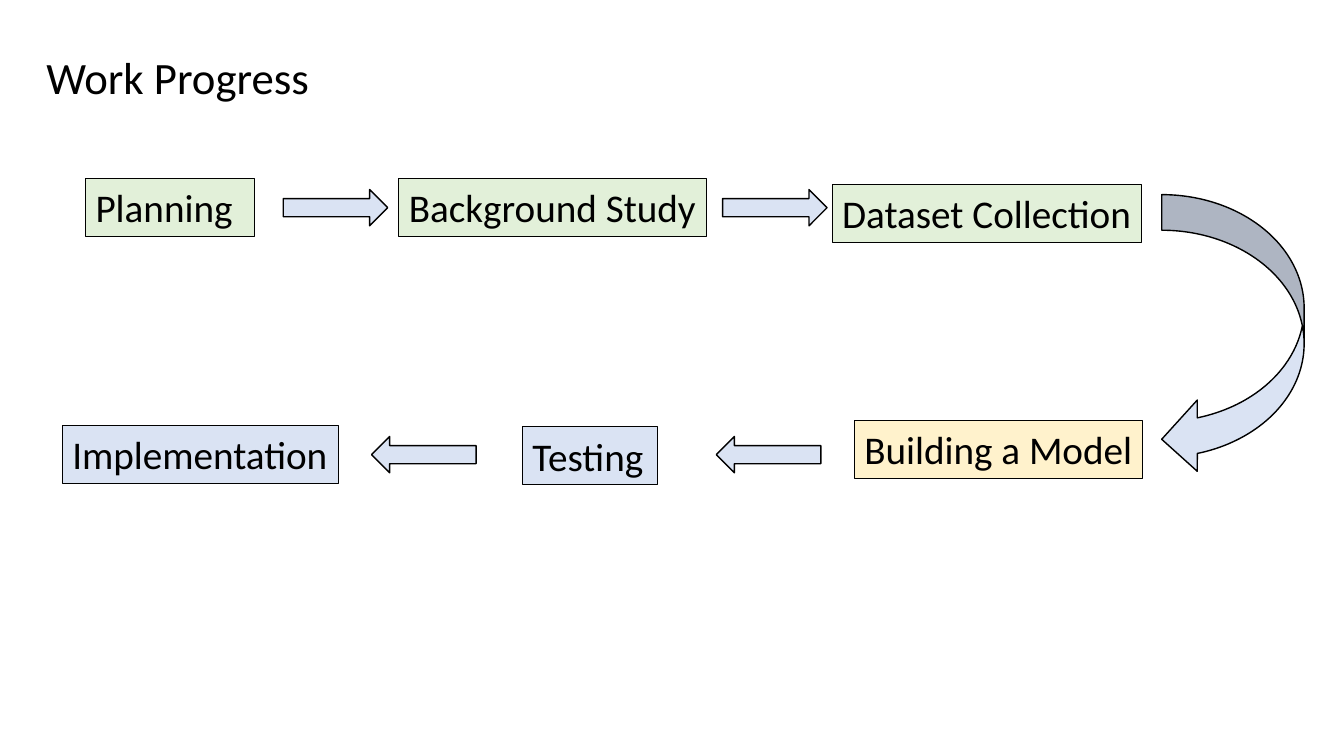
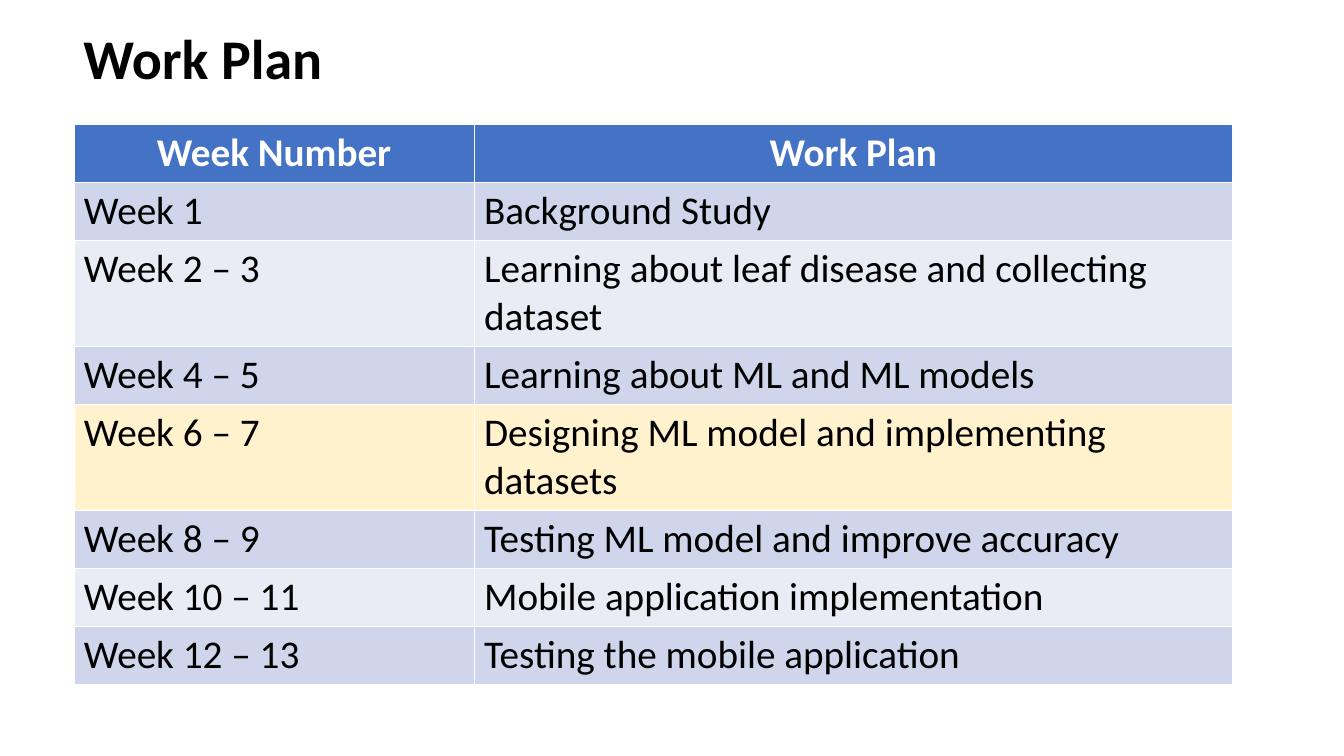
from dataclasses import dataclass

from lxml.etree import SubElement
from pptx import Presentation
from pptx.dml.color import RGBColor
from pptx.enum.shapes import MSO_SHAPE as Shape
from pptx.enum.text import MSO_ANCHOR as Anchor, PP_ALIGN as Align
from pptx.oxml.ns import qn
from pptx.util import Pt


@dataclass(frozen=True)
class Theme:
    font: str = "Calibri"
    ink: str = "000000"
    paper: str = "FFFFFF"
    done: str = "E2F0D9"
    current: str = "FFF2CC"
    planned: str = "DAE3F3"
    header: str = "4472C4"
    band_dark: str = "CFD5EA"
    band_light: str = "E9EBF5"
    title_size: int = 32
    big_title_size: int = 40
    body_size: int = 28


THEME = Theme()


def style_text(paragraph, size, color=THEME.ink, bold=False, align=Align.LEFT):
    paragraph.alignment = align
    font = paragraph.font
    font.name, font.size, font.bold = THEME.font, Pt(size), bold
    font.color.rgb = RGBColor.from_string(color)


def add_block(slide, kind, place, fill, line_width):
    """Add a filled, outlined shape without shadow at (left, top, width, height)."""
    block = slide.shapes.add_shape(kind, *map(Pt, place))
    block.shadow.inherit = False
    block.fill.solid()
    block.fill.fore_color.rgb = RGBColor.from_string(fill)
    block.line.color.rgb = RGBColor.from_string(THEME.ink)
    block.line.width = Pt(line_width)
    return block


prs = Presentation()
prs.slide_width, prs.slide_height = Pt(960.48), Pt(540)

# Titles of both slides
titles = [
    ("Work Progress", (26, 15, 320, 62.8), THEME.title_size, False),
    ("Work Plan", (52.5, 18.7, 213, 50.4), THEME.big_title_size, True),
]
slides = []
for text, place, size, bold in titles:
    slide = prs.slides.add_slide(prs.slide_layouts[6])
    frame = slide.shapes.add_textbox(*map(Pt, place)).text_frame
    frame.word_wrap = True
    frame.vertical_anchor = Anchor.BOTTOM
    frame.text = text
    frame.paragraphs[0].line_spacing = 0.9
    style_text(frame.paragraphs[0], size, bold=bold)
    slides.append(slide)
progress_slide, plan_slide = slides

# Work Progress: stages of the project
STAGE_HEIGHT = 41.4
stages = [
    ("Planning", 61.2, 127.4, 121, THEME.done),
    ("Background Study", 285.1, 127.4, 220, THEME.done),
    ("Dataset Collection", 594.7, 132, 221.4, THEME.done),
    ("Building a Model", 610.6, 300.4, 206, THEME.current),
    ("Testing", 373.5, 304.9, 96.5, THEME.planned),
    ("Implementation", 44.6, 303.8, 197.4, THEME.planned),
]
for label, left, top, width, fill in stages:
    stage = add_block(progress_slide, Shape.RECTANGLE,
                      (left, top, width, STAGE_HEIGHT), fill, 0.75)
    frame = stage.text_frame
    frame.word_wrap = True
    frame.margin_right = 0
    frame.vertical_anchor = Anchor.TOP
    frame.text = label
    style_text(frame.paragraphs[0], THEME.body_size)

# Upper arrows point right, lower arrows point left
for top, rotation, lefts in [(135.4, 0, (202.4, 516.4)), (311.8, 180, (511.9, 265.5))]:
    for left in lefts:
        arrow = add_block(progress_slide, Shape.RIGHT_ARROW,
                          (left, top, 74.7, 25.9), THEME.planned, 1)
        arrow.rotation = rotation
add_block(progress_slide, Shape.CURVED_LEFT_ARROW, (830.2, 139, 101.8, 200.2),
          THEME.planned, 1)

# Work Plan: weekly schedule
schedule = [
    ("Week Number", "Work Plan"),
    ("Week 1", "Background Study"),
    ("Week 2 – 3", "Learning about leaf disease and collecting dataset"),
    ("Week 4 – 5", "Learning about ML and ML models"),
    ("Week 6 – 7", "Designing ML model and implementing datasets"),
    ("Week 8 – 9", "Testing ML model and improve accuracy"),
    ("Week 10 – 11", "Mobile application implementation"),
    ("Week 12 – 13", "Testing the mobile application"),
]
CURRENT_ROW = 4
TWO_LINE_ROWS = (2, 4)
column_widths = (286, 542)
row_heights = [75.6 if row in TWO_LINE_ROWS else 41.4 for row in range(len(schedule))]

plan = plan_slide.shapes.add_table(
    len(schedule), len(column_widths), Pt(52.8), Pt(89),
    Pt(sum(column_widths)), Pt(sum(row_heights))).table
for column, width in zip(plan.columns, column_widths):
    column.width = Pt(width)

for row, (entries, height) in enumerate(zip(schedule, row_heights)):
    plan.rows[row].height = Pt(height)
    is_header = row == 0
    if is_header:
        fill = THEME.header
    elif row == CURRENT_ROW:
        fill = THEME.current
    else:
        fill = THEME.band_dark if row % 2 else THEME.band_light
    for col, entry in enumerate(entries):
        cell = plan.cell(row, col)
        cell.text_frame.text = entry
        style_text(cell.text_frame.paragraphs[0], THEME.body_size,
                   THEME.paper if is_header else THEME.ink, is_header,
                   Align.CENTER if is_header else Align.LEFT)
        cell_properties = cell._tc.get_or_add_tcPr()
        for side in "LRTB":
            under_header = (row, side) in ((0, "B"), (1, "T"))
            border = SubElement(cell_properties, qn(f"a:ln{side}"),
                                w=str(Pt(1.47 if under_header else 0.45)))
            border_fill = SubElement(border, qn("a:solidFill"))
            SubElement(border_fill, qn("a:srgbClr"), val=THEME.paper)
        cell.fill.solid()
        cell.fill.fore_color.rgb = RGBColor.from_string(fill)

prs.save("out.pptx")
